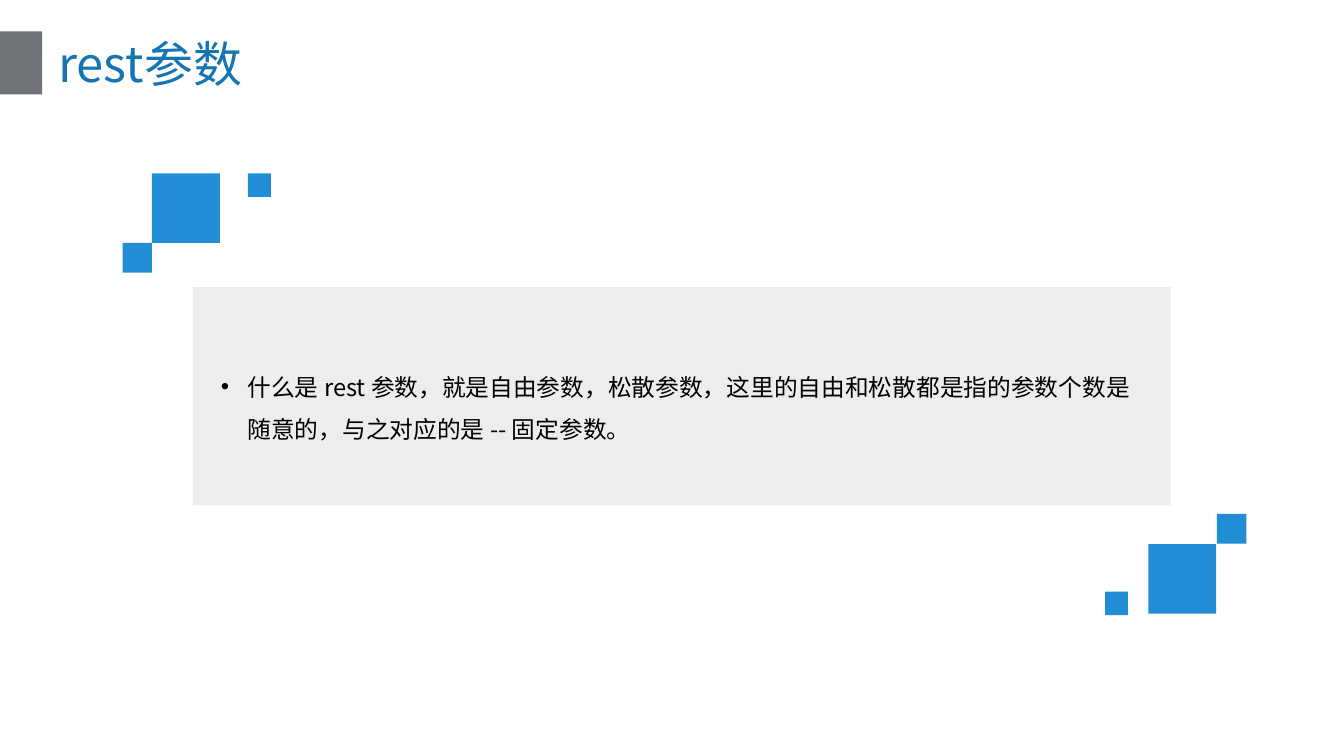
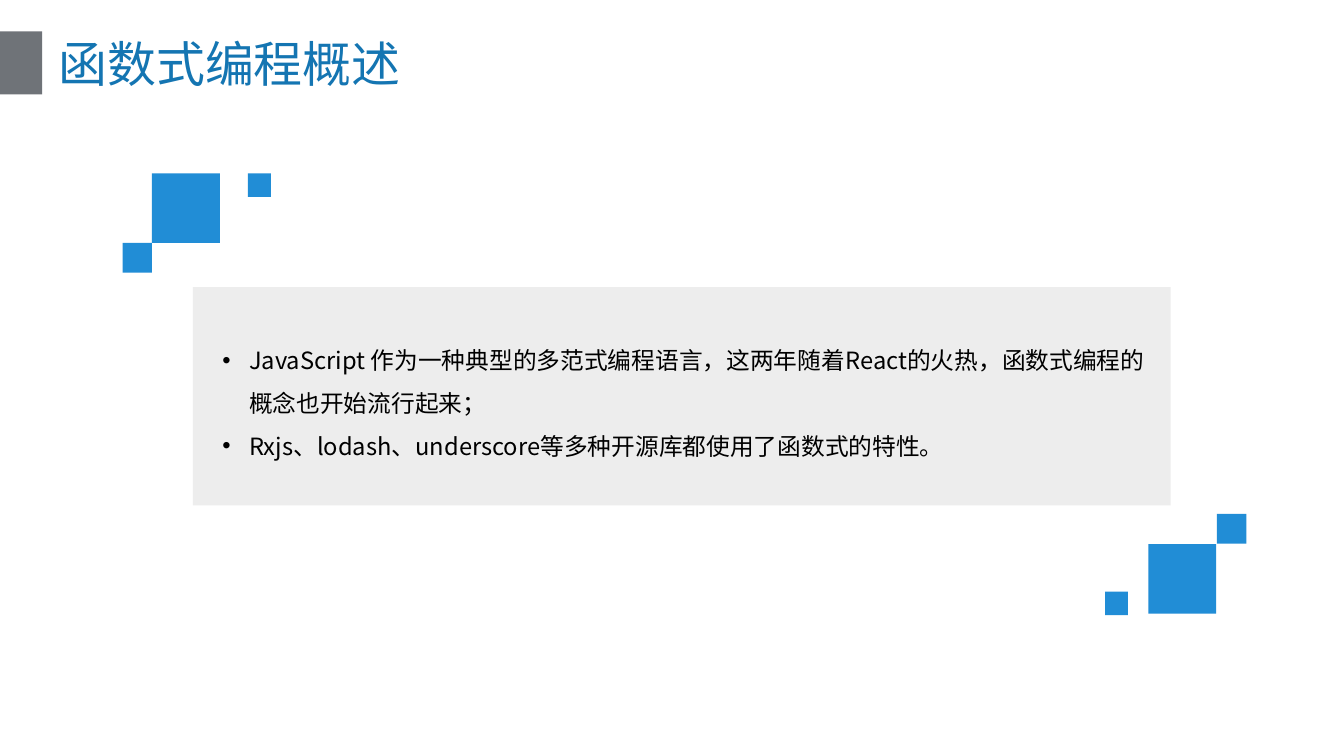
from pptx import Presentation
from pptx.dml.color import RGBColor
from pptx.enum.shapes import MSO_SHAPE
from pptx.enum.text import MSO_ANCHOR, MSO_AUTO_SIZE, PP_ALIGN
from pptx.oxml.ns import qn
from pptx.util import Cm, Pt

TITLE_BLUE = RGBColor(0x14, 0x75, 0xB2)
SQUARE_BLUE = RGBColor(0x21, 0x8D, 0xD6)
BAR_GRAY = RGBColor(0x6F, 0x73, 0x78)
PANEL_GRAY = RGBColor(0xED, 0xED, 0xED)
BLACK = RGBColor(0, 0, 0)
FONT = "Noto Sans CJK SC"

LARGE, MEDIUM, SMALL = (3.23, 3.3), (1.4, 1.42), (1.09, 1.12)

# Left, top, (width, height) in cm, and fill
BLOCKS = [
    (0, 1.5, (2.01, 3), BAR_GRAY),
    (54.69, 25.91, LARGE, SQUARE_BLUE),
    (57.96, 24.46, MEDIUM, SQUARE_BLUE),
    (7.24, 8.26, LARGE, SQUARE_BLUE),
    (5.84, 11.56, MEDIUM, SQUARE_BLUE),
    (11.81, 8.26, SMALL, SQUARE_BLUE),
    (52.63, 28.17, SMALL, SQUARE_BLUE),
    (9.19, 13.67, (46.56, 10.39), PANEL_GRAY),
]

# Title, list position (left, top, height in cm), list items
PAGES = [
    ("rest参数", (10.39, 16.92, 4.34), [
        "什么是 rest 参数，就是自由参数，松散参数，这里的自由和松散都是指的参数个数是随意的，与之对应的是 -- 固定参数。",
    ]),
    ("函数式编程概述", (10.46, 15.67, 6.2), [
        "JavaScript 作为一种典型的多范式编程语言，这两年随着React的火热，函数式编程的概念也开始流行起来；",
        "Rxjs、lodash、underscore等多种开源库都使用了函数式的特性。",
    ]),
]


def place(shape, left, top, width, height):
    shape.left, shape.top = Cm(left), Cm(top)
    shape.width, shape.height = Cm(width), Cm(height)


def add_span(para, text, size, color):
    span = para.add_run()
    span.text = text
    span.font.name = FONT
    span.font.size = Pt(size)
    span.font.color.rgb = color
    east_asian = span.font._element.makeelement(qn("a:ea"), {"typeface": FONT})
    span.font._element.find(qn("a:latin")).addnext(east_asian)


deck = Presentation()
deck.slide_width, deck.slide_height = Cm(64.01), Cm(35.99)

for heading, (list_left, list_top, list_height), items in PAGES:
    page = deck.slides.add_slide(deck.slide_layouts[1])
    title, body = page.placeholders

    for left, top, (width, height), color in BLOCKS:
        block = page.shapes.add_shape(
            MSO_SHAPE.RECTANGLE, Cm(left), Cm(top), Cm(width), Cm(height))
        block.shadow.inherit = False
        block.fill.solid()
        block.fill.fore_color.rgb = color
        block.line.fill.background()

    place(title, 2.01, 1.45, 60, 3.05)
    title_format = {"margin_left": Cm(0.77), "auto_size": MSO_AUTO_SIZE.NONE,
                    "vertical_anchor": MSO_ANCHOR.MIDDLE}
    for name, value in title_format.items():
        setattr(title.text_frame, name, value)
    para = title.text_frame.paragraphs[0]
    para.alignment = PP_ALIGN.LEFT
    add_span(para, heading, 66, TITLE_BLUE)

    # The list goes in front of the panel
    page.shapes._spTree.append(body._element)
    place(body, list_left, list_top, 44.2, list_height)
    body_format = {f"margin_{side}": Cm(0.13)
                   for side in ("left", "top", "right", "bottom")}
    body_format.update(auto_size=MSO_AUTO_SIZE.NONE, word_wrap=True,
                       vertical_anchor=MSO_ANCHOR.TOP)
    for name, value in body_format.items():
        setattr(body.text_frame, name, value)
    for index, item in enumerate(items):
        para = body.text_frame.add_paragraph() if index else body.text_frame.paragraphs[0]
        para.line_spacing = 1.5
        para.space_before = Pt(0)
        properties = para._p.get_or_add_pPr()
        properties.set("marL", str(Cm(1.27)))
        properties.set("indent", str(-Cm(1.27)))
        add_span(para, item, 32, BLACK)

deck.save("out.pptx")
